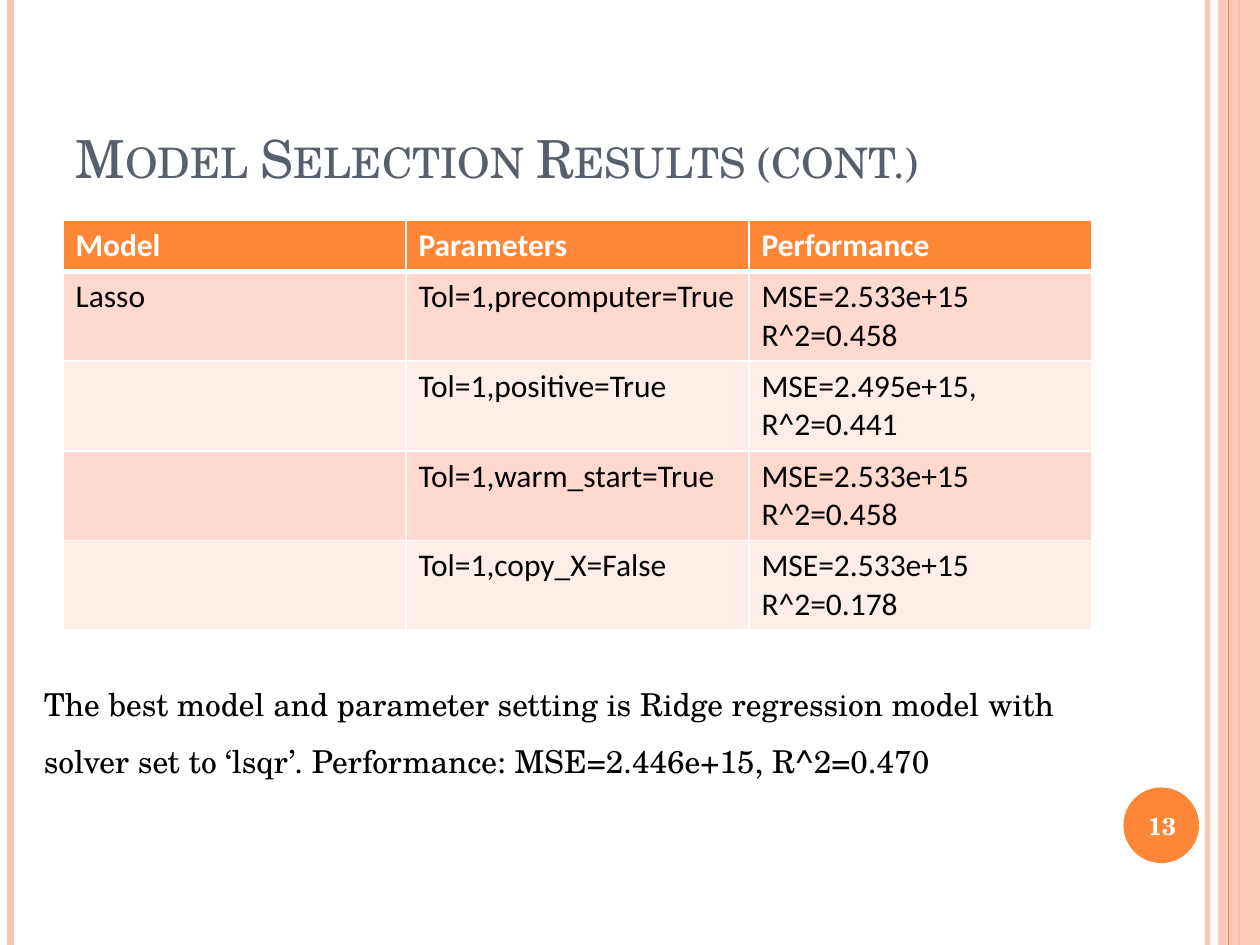
"""Build the model selection results slide."""
import dataclasses

import pptx
import pptx.dml.color
import pptx.enum.shapes
import pptx.enum.text
import pptx.oxml
import pptx.oxml.ns
import pptx.util
from lxml import etree

Pt = pptx.util.Pt
ALIGN = pptx.enum.text.PP_ALIGN
ANCHOR = pptx.enum.text.MSO_ANCHOR


@dataclasses.dataclass(frozen=True)
class Theme:
    """Colours, fonts and type sizes of the slide."""
    accent: str = "FE8637"
    blush: str = "FEC3AE"
    heading: str = "575F6D"
    white: str = "FFFFFF"
    black: str = "000000"
    bands: tuple = ("FFD9CE", "FFEDE8")
    serif: str = "TeX Gyre Schola"
    sans: str = "Calibri"
    title_size: int = 30
    body_size: int = 18
    number_size: int = 14


THEME = Theme()
SLIDE_WIDTH, SLIDE_HEIGHT = 720, 540
TITLE = "Model Selection Results (cont.)"
RESULTS = [
    [["Model"], ["Parameters"], ["Performance"]],
    [["Lasso"], ["Tol=1,precomputer=True"], ["MSE=2.533e+15", "R^2=0.458"]],
    [[], ["Tol=1,positive=True"], ["MSE=2.495e+15, R^2=0.441"]],
    [[], ["Tol=1,warm_start=True"], ["MSE=2.533e+15", "R^2=0.458"]],
    [[], ["Tol=1,copy_X=False"], ["MSE=2.533e+15", "R^2=0.178"]],
]
CONCLUSION = [
    "The best model and parameter setting is Ridge regression model with ",
    "solver set to ‘lsqr’. Performance: MSE=2.446e+15, R^2=0.470",
]


def rgb(colour):
    """Return the colour object for a hex string."""
    return pptx.dml.color.RGBColor.from_string(colour)


def set_opacity(element, percent):
    """Give the first colour inside an element an opacity."""
    colour = next(element.iter(pptx.oxml.ns.qn("a:srgbClr")))
    alpha = etree.SubElement(colour, pptx.oxml.ns.qn("a:alpha"))
    alpha.set("val", str(percent * 1000))


def write(frame, lines, font, size, colour, bold=False, align=ALIGN.LEFT, spacing=None):
    """Write lines as paragraphs of one run each and return the runs."""
    runs = []
    for index, line in enumerate(lines):
        paragraph = frame.add_paragraph() if index else frame.paragraphs[0]
        paragraph.alignment = align
        if spacing:
            paragraph.line_spacing = spacing
        run = paragraph.add_run()
        run.text = line
        run.font.name, run.font.size, run.font.bold = font, Pt(size), bold
        run.font.color.rgb = rgb(colour)
        runs.append(run)
    return runs


def add_filled(slide, preset, box, colour):
    """Add a plain filled shape without an outline."""
    shape = slide.shapes.add_shape(preset, *map(Pt, box))
    shape.shadow.inherit = False
    shape.fill.solid()
    shape.fill.fore_color.rgb = rgb(colour)
    shape.line.fill.background()
    return shape


def add_stripe(slide, x, top, height, colour, width, opacity=100):
    """Add one vertical line."""
    stripe = slide.shapes.add_connector(
        pptx.enum.shapes.MSO_CONNECTOR.STRAIGHT, Pt(x), Pt(top), Pt(x), Pt(top + height))
    stripe.line.color.rgb = rgb(colour)
    stripe.line.width = Pt(width)
    properties = stripe._element.spPr
    if opacity < 100:
        set_opacity(properties, opacity)
    etree.SubElement(properties, pptx.oxml.ns.qn("a:effectLst"))


def add_frame(slide, box):
    """Add the stripes and the band at the slide edges."""
    left, top, width, height = box
    right = left + width
    add_stripe(slide, right - 30, top, height, THEME.blush, 3, 93)
    add_stripe(slide, left + 6, top, height, THEME.blush, 4.5)
    add_stripe(slide, right - 12, top, height, THEME.accent, 1.5)
    band = add_filled(slide, pptx.enum.shapes.MSO_SHAPE.RECTANGLE,
                      (right - 24, top, 24, height), THEME.blush)
    set_opacity(band._element.spPr, 87)
    add_stripe(slide, right - 18, top, height, THEME.accent, 0.75)


def add_title(slide, box):
    """Place the title in small capitals."""
    title = slide.shapes.title
    title.left, title.top, title.width, title.height = map(Pt, box)
    frame = title.text_frame
    frame.vertical_anchor = ANCHOR.BOTTOM
    for run in write(frame, [TITLE], THEME.serif, THEME.title_size, THEME.heading):
        run._r.get_or_add_rPr().set("cap", "small")


def set_borders(cell, top, bottom):
    """Draw white borders around a cell."""
    properties = cell._tc.get_or_add_tcPr()
    for side, width in (("L", 1), ("R", 1), ("T", top), ("B", bottom)):
        properties.append(pptx.oxml.parse_xml(
            f'<a:ln{side} {pptx.oxml.ns.nsdecls("a")} w="{Pt(width)}"><a:solidFill>'
            f'<a:srgbClr val="{THEME.white}"/></a:solidFill></a:ln{side}>'))


def add_results(slide, box):
    """Add the table of parameters and performance."""
    left, top, width, height = box
    header_height = 29.2
    row_height = (height - header_height) / (len(RESULTS) - 1)
    table = slide.shapes.add_table(
        len(RESULTS), len(RESULTS[0]), *map(Pt, box)).table
    for column in table.columns:
        column.width = Pt(width / len(RESULTS[0]))
    for index, record in enumerate(RESULTS):
        header = index == 0
        table.rows[index].height = Pt(header_height if header else row_height)
        for cell, lines in zip(table.rows[index].cells, record):
            set_borders(cell, 3 if index == 1 else 1, 3 if header else 1)
            cell.fill.solid()
            cell.fill.fore_color.rgb = rgb(
                THEME.accent if header else THEME.bands[(index - 1) % 2])
            write(cell.text_frame, lines, THEME.sans, THEME.body_size,
                  THEME.white if header else THEME.black, bold=header)


def add_conclusion(slide, box):
    """Add the statement of the best model."""
    frame = slide.shapes.add_textbox(*map(Pt, box)).text_frame
    frame.word_wrap = True
    write(frame, CONCLUSION, THEME.serif, THEME.body_size, THEME.black, spacing=1.5)


def add_page_number(slide, box):
    """Add the round badge with the page number."""
    left, top, width, height = box
    add_filled(slide, pptx.enum.shapes.MSO_SHAPE.OVAL, box, THEME.accent)
    number = slide.shapes.add_textbox(Pt(left - 2), Pt(top + 1), Pt(width + 5), Pt(height - 2))
    frame = number.text_frame
    frame.word_wrap = True
    frame.vertical_anchor = ANCHOR.MIDDLE
    write(frame, ["13"], THEME.serif, THEME.number_size, THEME.white,
          bold=True, align=ALIGN.CENTER)


def build():
    """Build and save the presentation."""
    deck = pptx.Presentation()
    deck.slide_width, deck.slide_height = Pt(SLIDE_WIDTH), Pt(SLIDE_HEIGHT)
    slide = deck.slides.add_slide(deck.slide_layouts.get_by_name("Title Only"))
    add_frame(slide, (0, 0, SLIDE_WIDTH, SLIDE_HEIGHT))
    add_title(slide, (36, 21.6, 588, 90))
    add_results(slide, (36, 126, 588, 234))
    add_page_number(slide, (642, 450, 43.2, 43.2))
    add_conclusion(slide, (18, 377.3, 603.4, 94.3))
    deck.save("out.pptx")


build()
